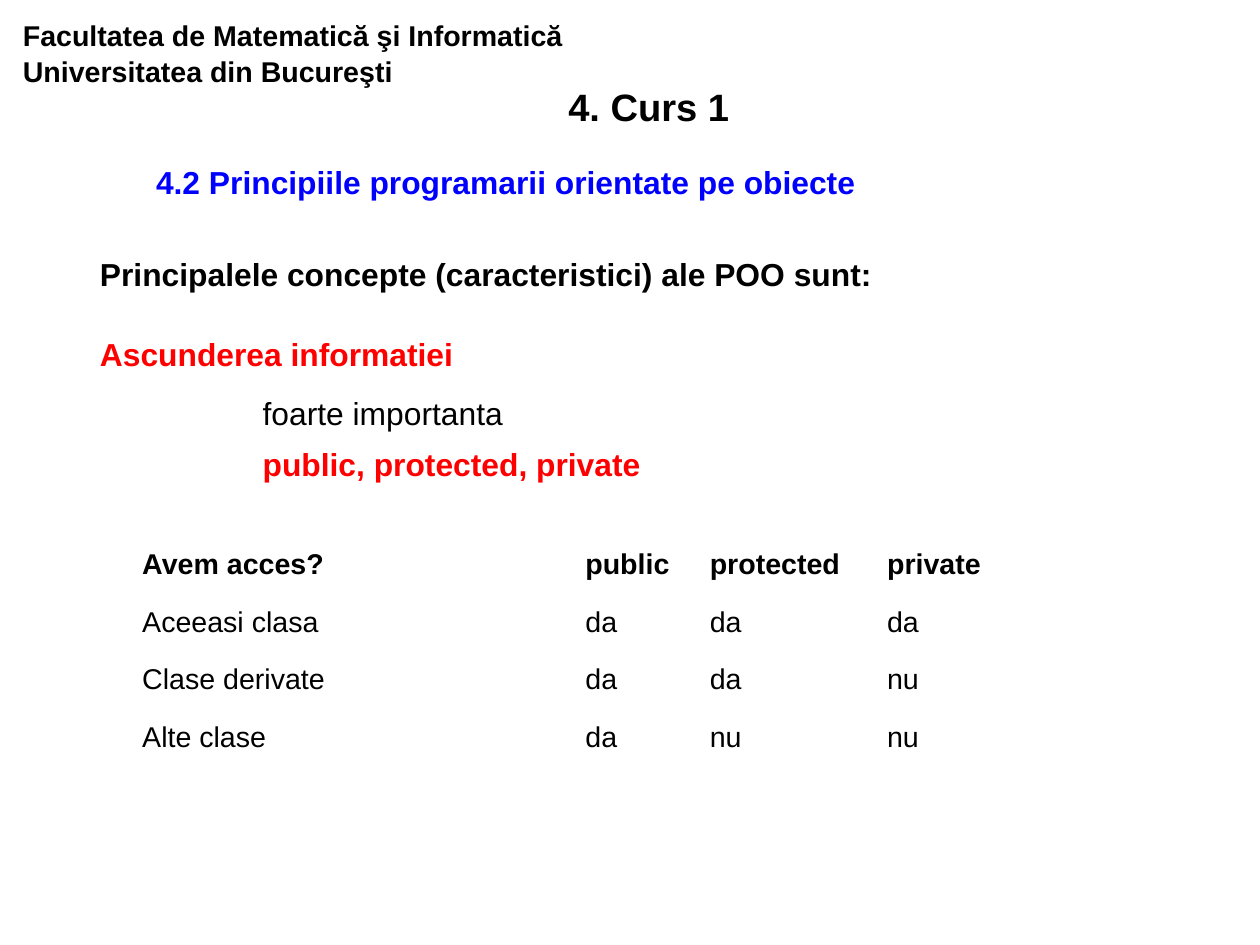
from pptx import Presentation
from pptx.dml.color import RGBColor
from pptx.enum.text import MSO_ANCHOR, MSO_AUTO_SIZE, PP_ALIGN
from pptx.util import Pt

TOP, MIDDLE = MSO_ANCHOR.TOP, MSO_ANCHOR.MIDDLE
LEFT, CENTER = PP_ALIGN.LEFT, PP_ALIGN.CENTER
NO_AUTOFIT = MSO_AUTO_SIZE.NONE

FONT = "Arial"
BLACK, BLUE, RED = "000000", "0000FF", "FF0000"
COLUMN_WIDTHS = [279.2, 78.4, 111.7, 88]
ACCESS_ROWS = [
    ["Avem acces?", "public", "protected", "private"],
    ["Aceeasi clasa", "da", "da", "da"],
    ["Clase derivate", "da", "da", "nu"],
    ["Alte clase", "da", "nu", "nu"],
]


def color(hex_string):
    return RGBColor.from_string(hex_string)


def write(p, text, size, hex_color=BLACK, bold=True, spacing=1.0, before=0, align=LEFT):
    p.text = text
    p.alignment = align
    p.line_spacing = spacing
    p.space_before = Pt(before)
    font = p.runs[0].font
    font.name, font.size, font.bold = FONT, Pt(size), bold
    font.color.rgb = color(hex_color)


def set_margins(target, left, top, right, bottom):
    """Set the inner margins of a text frame or a table cell."""
    target.margin_left, target.margin_top = Pt(left), Pt(top)
    target.margin_right, target.margin_bottom = Pt(right), Pt(bottom)


def add_text(s, box, margins=(7.2, 3.6, 7.2, 3.6)):
    tf = s.shapes.add_textbox(*map(Pt, box)).text_frame
    tf.word_wrap = True
    set_margins(tf, *margins)
    return tf


def add_header(s, box):
    tf = add_text(s, box, (7.9, 4.3, 7.9, 4.3))
    write(tf.paragraphs[0], "Facultatea de Matematică şi Informatică Universitatea din Bucureşti",
          18, spacing=1.04)


def add_title(s, box):
    title = s.shapes.title
    title.left, title.top, title.width, title.height = map(Pt, box)
    tf = title.text_frame
    tf.auto_size, tf.vertical_anchor = NO_AUTOFIT, TOP
    set_margins(tf, 0, 0.7, 0, 0.7)
    write(tf.paragraphs[0], "4. Curs 1", 24, align=CENTER)


def add_section_heading(s, box):
    tf = add_text(s, box, (79.6, 3.6, 7.2, 3.6))
    write(tf.paragraphs[0], "4.2 Principiile programarii orientate pe obiecte",
          20, BLUE, spacing=1.5)


def add_concepts(s, box):
    tf = add_text(s, box)
    write(tf.paragraphs[0], "Principalele concepte (caracteristici) ale POO sunt:",
          20, spacing=1.04)
    write(tf.add_paragraph(), "Ascunderea informatiei", 20, RED, spacing=1.04, before=25)


def add_details(s, box):
    tf = add_text(s, box)
    write(tf.paragraphs[0], "foarte importanta", 20, bold=False)
    write(tf.add_paragraph(), "public, protected, private", 20, RED, before=8)


def add_access_table(s, box):
    frame = s.shapes.add_table(len(ACCESS_ROWS), len(COLUMN_WIDTHS), *map(Pt, box))
    table = frame.table
    table.first_row = table.horz_banding = False
    for column, width in zip(table.columns, COLUMN_WIDTHS):
        column.width = Pt(width)
    for i, row in enumerate(ACCESS_ROWS):
        for j, text in enumerate(row):
            cell = table.cell(i, j)
            cell.fill.background()
            cell.vertical_anchor = MIDDLE
            set_margins(cell, 7.2, 5.8, 7.2, 3.6)
            write(cell.text_frame.paragraphs[0], text, 18, bold=i == 0, spacing=0.89)


def main():
    prs = Presentation()
    prs.slide_width, prs.slide_height = Pt(793.75), Pt(595.25)
    s = prs.slides.add_slide(prs.slide_layouts[5])
    add_header(s, (6.5, 6.2, 396.7, 51.8))
    add_title(s, (306.8, 51.8, 203.8, 30.2))
    add_section_heading(s, (18.7, 87.1, 665.3, 36))
    add_concepts(s, (55.9, 156.2, 689, 131))
    add_details(s, (158.4, 244.6, 403.2, 72))
    add_access_table(s, (82.4, 337.4, 557.3, 144.8))
    prs.save("out.pptx")


if __name__ == "__main__":
    main()
